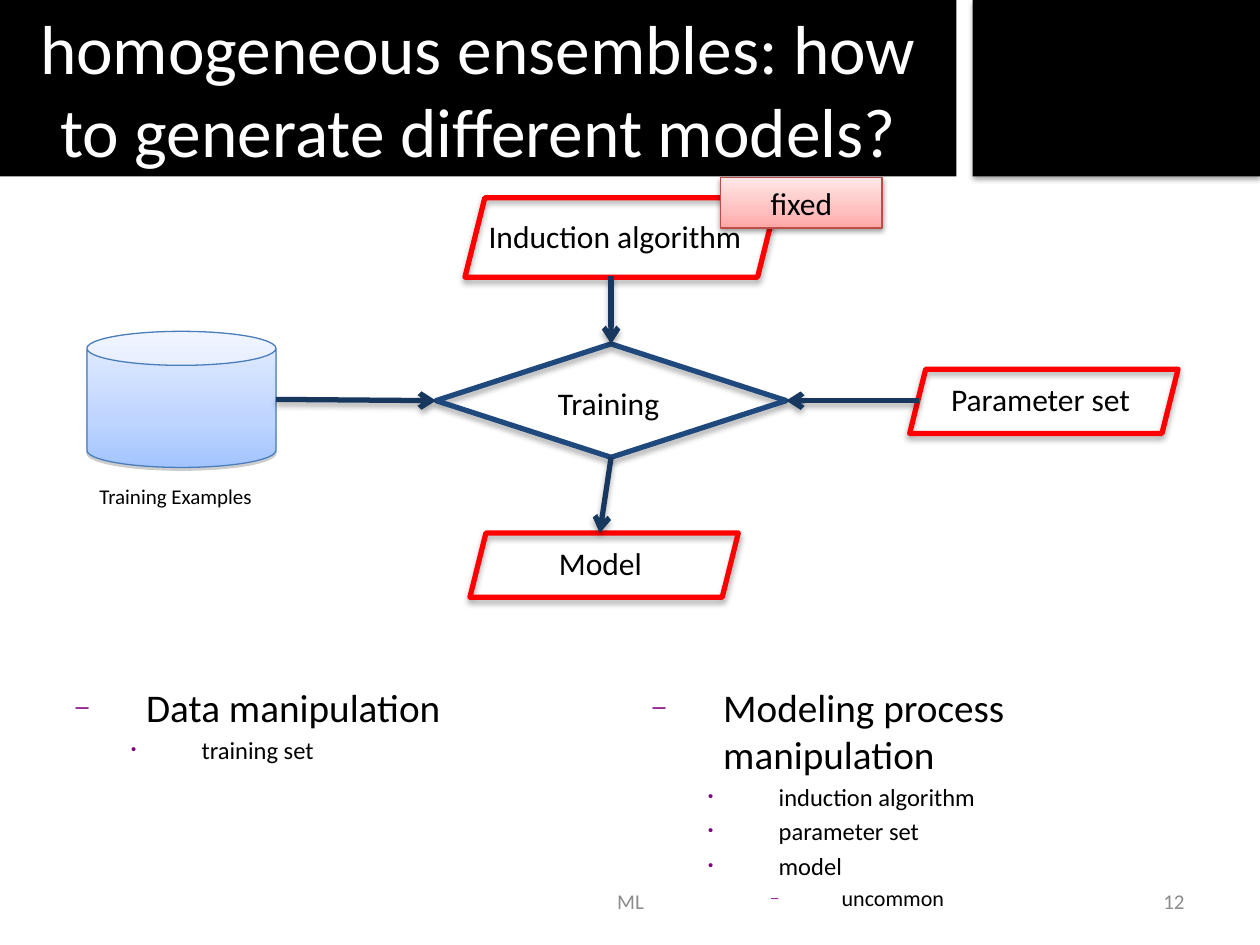
from dataclasses import dataclass

from lxml.etree import SubElement
from pptx import Presentation
from pptx.dml.color import RGBColor
from pptx.enum.shapes import MSO_CONNECTOR, MSO_SHAPE
from pptx.enum.text import MSO_ANCHOR, MSO_AUTO_SIZE, PP_ALIGN
from pptx.oxml.ns import qn
from pptx.util import Inches, Pt


@dataclass(frozen=True)
class Theme:
    font: str = "Calibri"
    black: str = "000000"
    white: str = "FFFFFF"
    red: str = "FF0000"
    navy: str = "1F497D"
    arrow: str = "17375E"
    muted: str = "8C8C8C"
    bullet: str = "800080"
    blue_line: str = "4A7EBB"
    pink_line: str = "BF4C48"
    blues: tuple = ("A3C4FF", "BFD5FF", "E5EEFF")
    pinks: tuple = ("FFA6A5", "FFC0BF", "FFE7E7")
    title: float = 39.6
    label: float = 18
    small: float = 12
    list_sizes: tuple = (22.4, 14, 12.6)
    list_indents: tuple = (0.56, 1, 1.5)
    list_bullets: str = "–•–"
    thick: float = 3
    thin: float = 0.75
    flow_shadow: tuple = ("000000", 32, 3.5, 2.2)
    panel_shadow: tuple = ("000000", 35, 3.1, 1.8)
    tag_shadow: tuple = ("000000", 38, 3.1, 1.6)
    can_shadow: tuple = ("808080", 38, 0, 1.6)


class Page:
    def __init__(self, slide, theme):
        self.slide = slide
        self.theme = theme

    def place(self, item, box):
        item.left, item.top, item.width, item.height = map(Inches, box)

    def style_runs(self, paragraph, size, color, align=None):
        paragraph.alignment = align
        for run in paragraph.runs:
            run.font.name = self.theme.font
            run.font.size = Pt(size)
            run.font.color.rgb = RGBColor.from_string(color)

    def shadow(self, item, style):
        color, opacity, blur, distance = style
        properties = item._element.spPr
        effects = properties.find(qn("a:effectLst"))
        if effects is None:
            effects = SubElement(properties, qn("a:effectLst"))
        outer = SubElement(effects, qn("a:outerShdw"), blurRad=str(Pt(blur)),
                           dist=str(Pt(distance)), dir="5400000", rotWithShape="0")
        tint = SubElement(outer, qn("a:srgbClr"), val=color)
        SubElement(tint, qn("a:alpha"), val=str(opacity * 1000))

    def gradient(self, item, colors):
        item.fill.gradient()
        item.fill.gradient_angle = 90
        stops = item._element.spPr.find(qn("a:gradFill")).find(qn("a:gsLst"))
        for stop in list(stops):
            stops.remove(stop)
        for position, color in zip((0, 35000, 100000), colors):
            stop = SubElement(stops, qn("a:gs"), pos=str(position))
            SubElement(stop, qn("a:srgbClr"), val=color)

    def shape(self, kind, box, shadow, line=None, width=None, fill=None, colors=None):
        item = self.slide.shapes.add_shape(kind, *map(Inches, box))
        item.shadow.inherit = False
        if colors:
            self.gradient(item, colors)
        elif fill:
            item.fill.solid()
            item.fill.fore_color.rgb = RGBColor.from_string(fill)
        else:
            item.fill.background()
        if line:
            item.line.color.rgb = RGBColor.from_string(line)
            item.line.width = Pt(width)
        else:
            item.line.fill.background()
        self.shadow(item, shadow)
        return item

    def flow(self, kind, box, color):
        return self.shape(kind, box, self.theme.flow_shadow, color, self.theme.thick)

    def set_text(self, item, text, size, color, align=None):
        item.text_frame.text = text
        self.style_runs(item.text_frame.paragraphs[0], size, color, align)

    def text(self, text, box, size, color=None, align=None, wrap=True, anchor=MSO_ANCHOR.TOP):
        item = self.slide.shapes.add_textbox(*map(Inches, box))
        item.text_frame.word_wrap = wrap
        item.text_frame.vertical_anchor = anchor
        self.set_text(item, text, size, color or self.theme.black, align)

    def arrow(self, start, end):
        item = self.slide.shapes.add_connector(
            MSO_CONNECTOR.STRAIGHT, *map(Inches, start + end))
        item.line.color.rgb = RGBColor.from_string(self.theme.arrow)
        item.line.width = Pt(self.theme.thick)
        SubElement(item._element.spPr.find(qn("a:ln")), qn("a:tailEnd"), type="arrow")
        self.shadow(item, self.theme.flow_shadow)

    def title(self, text, box):
        item = self.slide.shapes.title
        self.place(item, box)
        item.fill.solid()
        item.fill.fore_color.rgb = RGBColor.from_string(self.theme.black)
        self.set_text(item, text, self.theme.title, self.theme.white, PP_ALIGN.CENTER)
        item.text_frame.auto_size = MSO_AUTO_SIZE.NONE
        item.text_frame.vertical_anchor = MSO_ANCHOR.MIDDLE

    def outline(self, index, box, entries):
        theme = self.theme
        item = self.slide.placeholders[index]
        self.place(item, box)
        frame = item.text_frame
        frame.auto_size = MSO_AUTO_SIZE.NONE
        frame.text = "\n".join(text for _, text in entries)
        for paragraph, (depth, _) in zip(frame.paragraphs, entries):
            paragraph.level = depth + 1
            self.style_runs(paragraph, theme.list_sizes[depth], theme.black)
            properties = paragraph._p.get_or_add_pPr()
            properties.set("marL", str(Inches(theme.list_indents[depth])))
            properties.set("indent", str(Inches(-0.56)))
            spacing = SubElement(properties, qn("a:spcBef"))
            SubElement(spacing, qn("a:spcPct"), val="20000")
            color = SubElement(properties, qn("a:buClr"))
            SubElement(color, qn("a:srgbClr"), val=theme.bullet)
            SubElement(properties, qn("a:buSzPct"), val="60000")
            SubElement(properties, qn("a:buFont"), typeface="Arial")
            SubElement(properties, qn("a:buChar"), char=theme.list_bullets[depth])


presentation = Presentation()
presentation.slide_width, presentation.slide_height = Inches(10), Inches(7.5)
theme = Theme()
page = Page(presentation.slides.add_slide(presentation.slide_layouts[3]), theme)

page.shape(MSO_SHAPE.RECTANGLE, (7.72, 0, 2.28, 1.4), theme.panel_shadow, fill=theme.black)
page.title("homogeneous ensembles: how to generate different models?", (0, 0, 7.59, 1.4))
page.outline(1, (0.5, 5.37, 4.42, 1.71), [(0, "Data manipulation"), (1, "training set")])
page.outline(2, (5.08, 5.37, 4.42, 1.71), [
    (0, "Modeling process manipulation"),
    (1, "induction algorithm"),
    (1, "parameter set"),
    (1, "model"),
    (2, "uncommon"),
])

page.shape(MSO_SHAPE.CAN, (0.69, 2.63, 1.5, 1.08), theme.can_shadow,
           theme.blue_line, theme.thin, colors=theme.blues)
page.text("Training Examples", (0.69, 3.79, 1.58, 0.3), theme.small)

page.flow(MSO_SHAPE.DIAMOND, (3.46, 2.73, 2.78, 0.9), theme.navy)
for box in ((3.69, 1.57, 2.48, 0.63), (7.22, 2.93, 2.13, 0.51), (3.73, 4.23, 2.13, 0.51)):
    page.flow(MSO_SHAPE.PARALLELOGRAM, box, theme.red)
for label, box in (
    ("Induction algorithm", (3.78, 1.67, 2.23, 0.4)),
    ("Parameter set", (7.45, 2.97, 1.64, 0.4)),
    ("Training", (4.33, 3, 1.01, 0.4)),
):
    page.text(label, box, theme.label, wrap=False)
page.text("Model", (3.81, 4.27, 1.91, 0.4), theme.label, align=PP_ALIGN.CENTER)

for start, end in (
    ((2.19, 3.17), (3.46, 3.18)),
    ((7.29, 3.18), (6.24, 3.18)),
    ((4.85, 2.19), (4.85, 2.73)),
    ((4.85, 3.63), (4.76, 4.23)),
):
    page.arrow(start, end)

fixed = page.shape(MSO_SHAPE.RECTANGLE, (5.72, 1.41, 1.28, 0.4), theme.tag_shadow,
                   theme.pink_line, theme.thin, colors=theme.pinks)
page.set_text(fixed, "fixed", theme.label, theme.black, PP_ALIGN.CENTER)

for text, box, align in (
    ("ML", (3.42, 6.95, 3.17, 0.4), PP_ALIGN.CENTER),
    ("12", (7.17, 6.95, 2.33, 0.4), PP_ALIGN.RIGHT),
):
    page.text(text, box, theme.small, theme.muted, align, anchor=MSO_ANCHOR.MIDDLE)

presentation.save("out.pptx")
